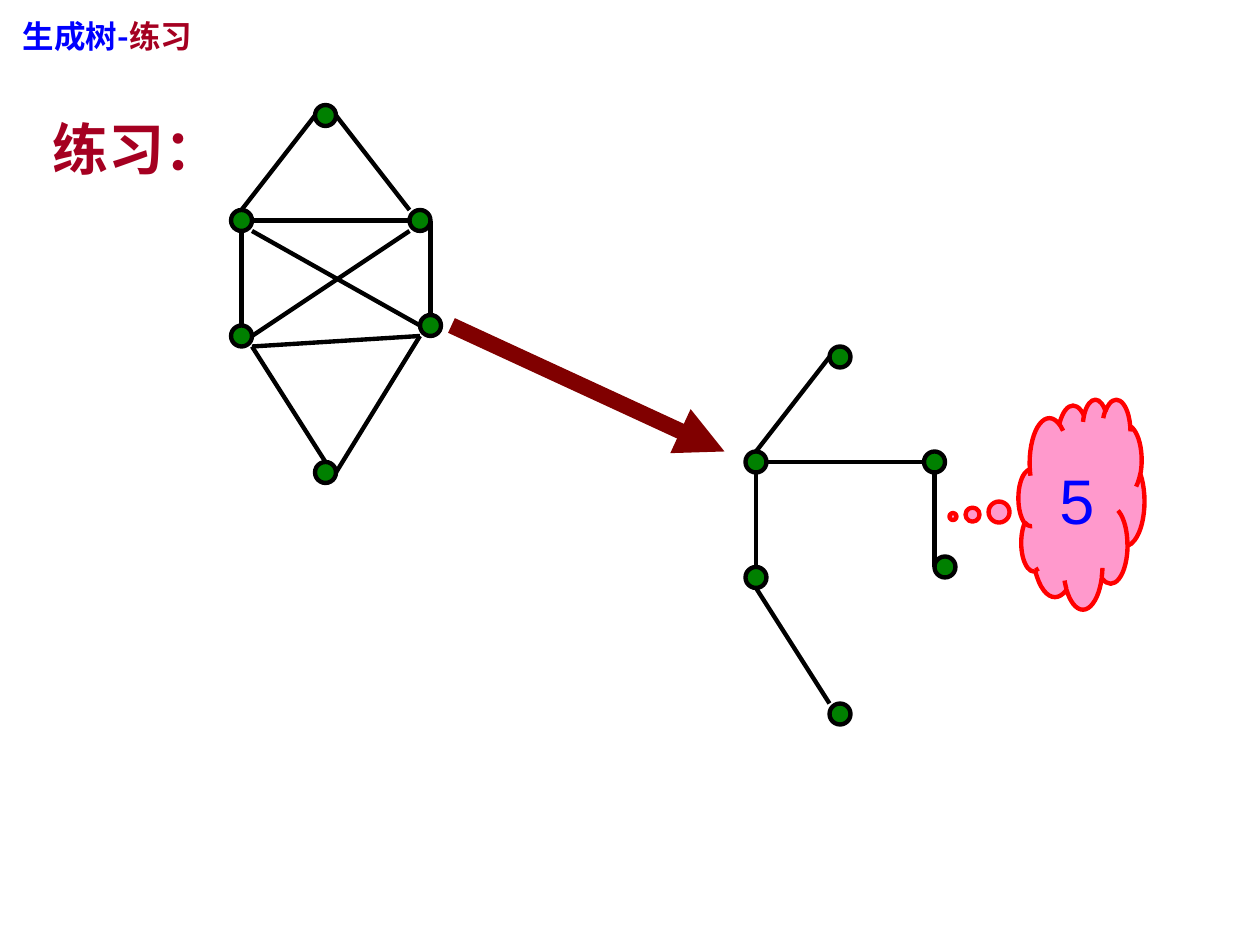
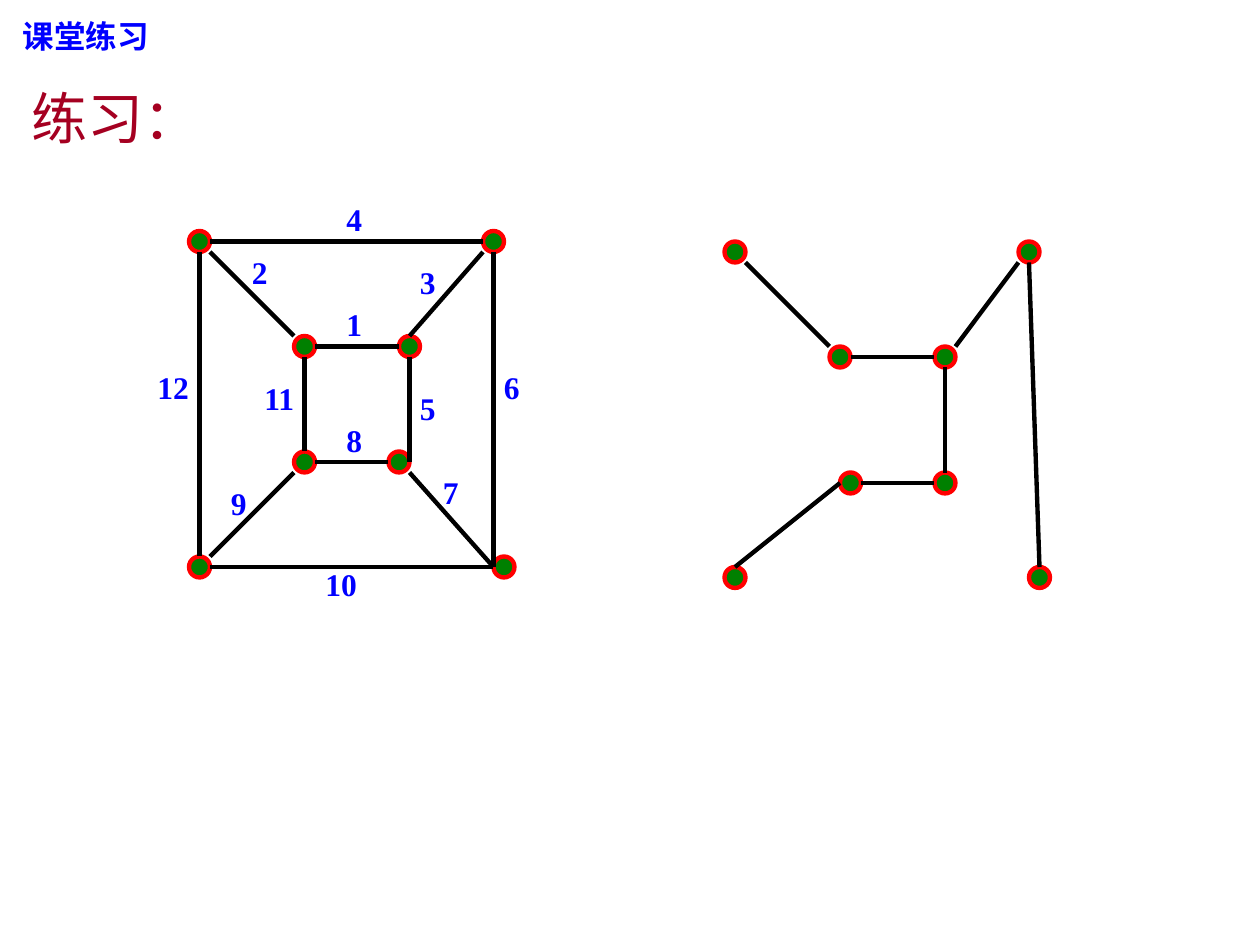
from dataclasses import dataclass
from typing import NamedTuple

from lxml.etree import SubElement
from pptx import Presentation
from pptx.dml.color import RGBColor
from pptx.enum.shapes import MSO_CONNECTOR as Line, MSO_SHAPE as Preset
from pptx.enum.text import MSO_ANCHOR as Anchor, MSO_AUTO_SIZE as AutoSize, PP_ALIGN as Align
from pptx.oxml.ns import qn
from pptx.util import Inches, Pt

COLORS = {"heading": "0000FF", "exercise": "A50021", "vertex": "008000", "edge": "000000",
          "outline": "FF0000", "arrow": "800000", "cloud": "FF99CC"}
CJK_FONT = "Noto Sans CJK SC"
COLUMNS, ROWS = 120, 90
CELL = Inches(10) // COLUMNS
STROKE = 2.5
COMPASS = {"n": (0, -1), "s": (0, 1), "w": (-1, 0), "e": (1, 0),
           "nw": (-1, -1), "ne": (1, -1), "sw": (-1, 1), "se": (1, 1)}


class Point(NamedTuple):
    """A place on the grid, in columns and rows."""
    col: float
    row: float

    def shifted(self, cols: float, rows: float) -> "Point":
        """Return the place moved by some columns and rows."""
        return Point(self.col + cols, self.row + rows)


class Words(NamedTuple):
    """A run of text and its look."""
    text: str
    size: int
    font: str
    color: str
    bold: bool = True


@dataclass(frozen=True)
class Edge:
    """An edge between the sides of two vertices, with an optional weight."""
    start: str
    start_side: str
    end: str
    end_side: str
    weight: str = ""
    weight_at: Point = Point(0, 0)


@dataclass(frozen=True)
class Graph:
    """Vertices by name, the edges between them and the vertex outline."""
    vertices: dict[str, Point]
    edges: list[Edge]
    outline: str
    grouped: bool = False


def moved(vertices: dict[str, Point], cols: int, rows: int) -> dict[str, Point]:
    """Return the same vertices shifted over the grid."""
    return {name: place.shifted(cols, rows) for name, place in vertices.items()}


def rgb(name: str) -> RGBColor:
    """Return a colour of the palette."""
    return RGBColor.from_string(COLORS[name])


def cells(*counts: float) -> list[int]:
    """Turn grid counts into lengths."""
    return [round(count * CELL) for count in counts]


def write(frame, runs: list[Words]) -> None:
    """Write runs into the first paragraph of a text frame."""
    for words in runs:
        run = frame.paragraphs[0].add_run()
        run.text = words.text
        run.font.size, run.font.bold, run.font.name = Pt(words.size), words.bold, words.font
        run.font.color.rgb = rgb(words.color)
        SubElement(run.font._element, qn("a:ea")).set("typeface", CJK_FONT)


def add_text(slide, at: Point, width: float, height: float, runs: list[Words],
             wrap: bool = True) -> None:
    """Add a text box that grows with its text."""
    frame = slide.shapes.add_textbox(*cells(*at, width, height)).text_frame
    frame.word_wrap, frame.auto_size = wrap, AutoSize.SHAPE_TO_FIT_TEXT
    write(frame, runs)


def add_preset(shapes, preset, at: Point, width: float, height: float, fill: str, outline: str):
    """Add a filled and outlined preset shape."""
    shape = shapes.add_shape(preset, *cells(*at, width, height))
    shape.shadow.inherit = False
    shape.fill.solid()
    shape.fill.fore_color.rgb = rgb(fill)
    shape.line.color.rgb, shape.line.width = rgb(outline), Pt(STROKE)
    return shape


def add_line(slide, start: Point, end: Point, color: str = "edge", width: float = STROKE):
    """Add a straight line without a shadow."""
    line = slide.shapes.add_connector(Line.STRAIGHT, *cells(*start, *end))
    line.line.color.rgb, line.line.width = rgb(color), Pt(width)
    SubElement(line._element.spPr, qn("a:effectLst"))
    return line


def add_graph(slide, graph: Graph) -> None:
    """Draw vertices, then edges, then weights."""
    shapes = slide.shapes.add_group_shape().shapes if graph.grouped else slide.shapes
    for center in graph.vertices.values():
        add_preset(shapes, Preset.OVAL, center.shifted(-1, -1), 2, 2, "vertex", graph.outline)
    for edge in graph.edges:
        add_line(slide, graph.vertices[edge.start].shifted(*COMPASS[edge.start_side]),
                 graph.vertices[edge.end].shifted(*COMPASS[edge.end_side]))
    for edge in graph.edges:
        if edge.weight:
            add_text(slide, edge.weight_at, 3.8 if len(edge.weight) == 1 else 5.4, 4.8,
                     [Words(edge.weight, 18, "Times New Roman", "heading")], wrap=False)


def add_slide(deck, heading: list[tuple[str, str]]):
    """Add a blank slide with its heading."""
    slide = deck.slides.add_slide(deck.slide_layouts[6])
    add_text(slide, Point(1, 1), 37, 4.8,
             [Words(text, 18, CJK_FONT, color) for text, color in heading])
    return slide


HEXAGON = {"left_upper": Point(23, 21), "right_upper": Point(40, 21),
           "left_lower": Point(23, 32), "right_lower": Point(41, 31),
           "bottom": Point(31, 45), "top": Point(31, 11)}
HEXAGON_EDGES = [
    Edge("left_upper", "n", "top", "w"),
    Edge("left_upper", "s", "left_lower", "n"),
    Edge("left_lower", "se", "bottom", "n"),
    Edge("bottom", "e", "right_lower", "sw"),
    Edge("right_lower", "n", "right_upper", "e"),
    Edge("top", "e", "right_upper", "nw"),
    Edge("left_lower", "e", "right_upper", "sw"),
    Edge("left_upper", "se", "right_lower", "w"),
    Edge("left_lower", "se", "right_lower", "sw"),
    Edge("left_upper", "e", "right_upper", "w"),
]
HEXAGON_TREE = [
    Edge("top", "w", "left_upper", "n"),
    Edge("left_upper", "e", "right_upper", "w"),
    Edge("left_upper", "s", "left_lower", "n"),
    Edge("right_upper", "s", "right_lower", "w"),
    Edge("left_lower", "s", "bottom", "nw"),
]

SQUARES = {"outer_nw": Point(19, 23), "outer_ne": Point(47, 23),
           "outer_sw": Point(19, 54), "outer_se": Point(48, 54),
           "inner_nw": Point(29, 33), "inner_ne": Point(39, 33),
           "inner_sw": Point(29, 44), "inner_se": Point(38, 44)}
SQUARES_EDGES = [
    Edge("outer_nw", "s", "outer_sw", "n", "12", Point(13.8, 34.5)),
    Edge("outer_sw", "e", "outer_se", "w", "10", Point(29.8, 53.2)),
    Edge("outer_nw", "e", "outer_ne", "w", "4", Point(31.8, 18.5)),
    Edge("outer_ne", "s", "outer_se", "w", "6", Point(46.8, 34.5)),
    Edge("inner_nw", "e", "inner_ne", "w", "1", Point(31.8, 28.5)),
    Edge("inner_nw", "s", "inner_sw", "n", "11", Point(24, 35.5)),
    Edge("inner_sw", "e", "inner_se", "w", "8", Point(31.8, 39.5)),
    Edge("inner_ne", "s", "inner_se", "e", "5", Point(38.8, 36.5)),
    Edge("outer_nw", "se", "inner_nw", "nw", "2", Point(22.8, 23.5)),
    Edge("inner_ne", "n", "outer_ne", "sw", "3", Point(38.8, 24.5)),
    Edge("outer_sw", "ne", "inner_sw", "sw", "9", Point(20.8, 45.5)),
    Edge("inner_se", "se", "outer_se", "w", "7", Point(41, 44.5)),
]
SQUARES_TREE = [
    Edge("inner_nw", "e", "inner_ne", "w"),
    Edge("inner_nw", "nw", "outer_nw", "se"),
    Edge("inner_ne", "ne", "outer_ne", "sw"),
    Edge("inner_ne", "s", "inner_se", "n"),
    Edge("outer_ne", "s", "outer_se", "n"),
    Edge("inner_sw", "e", "inner_se", "w"),
    Edge("inner_sw", "w", "outer_sw", "n"),
]


def add_spanning_tree_slide(deck) -> None:
    """Build the slide with a graph and one of its spanning trees."""
    slide = add_slide(deck, [("生成树-", "heading"), ("练习", "exercise")])
    add_text(slide, Point(3.8, 10.3), 19.2, 7.6, [Words("练习：", 32, "Arial", "exercise")])
    add_graph(slide, Graph(HEXAGON, HEXAGON_EDGES, "edge"))
    add_graph(slide, Graph(moved(HEXAGON, 49, 23), HEXAGON_TREE, "edge", grouped=True))
    arrow = add_line(slide, Point(43, 31), Point(69, 43), "arrow", 9.25)
    SubElement(arrow.line._get_or_add_ln(), qn("a:tailEnd")).set("type", "triangle")
    answer = add_preset(slide.shapes, Preset.CLOUD_CALLOUT, Point(97, 38), 12, 20,
                        "cloud", "outline")
    answer.adjustments[0], answer.adjustments[1] = -1.02, 0.06
    answer.text_frame.vertical_anchor = Anchor.MIDDLE
    answer.text_frame.paragraphs[0].alignment = Align.CENTER
    write(answer.text_frame, [Words("5", 36, "Arial", "heading", False)])


def add_weighted_graph_slide(deck) -> None:
    """Build the slide with a weighted graph and its minimum tree."""
    slide = add_slide(deck, [("课堂练习", "heading")])
    add_text(slide, Point(1.8, 7.4), 18.2, 7.6,
             [Words("练习：", 32, "Arial", "exercise", False)])
    add_graph(slide, Graph(SQUARES, SQUARES_EDGES, "outline"))
    tree_vertices = moved(SQUARES, 51, 1)
    for name in ("inner_sw", "inner_se"):
        tree_vertices[name] = tree_vertices[name].shifted(1, 1)
    add_graph(slide, Graph(tree_vertices, SQUARES_TREE, "outline", grouped=True))


def main() -> None:
    """Build and save the deck."""
    deck = Presentation()
    deck.slide_width, deck.slide_height = COLUMNS * CELL, ROWS * CELL
    add_spanning_tree_slide(deck)
    add_weighted_graph_slide(deck)
    deck.save("out.pptx")


if __name__ == "__main__":
    main()
